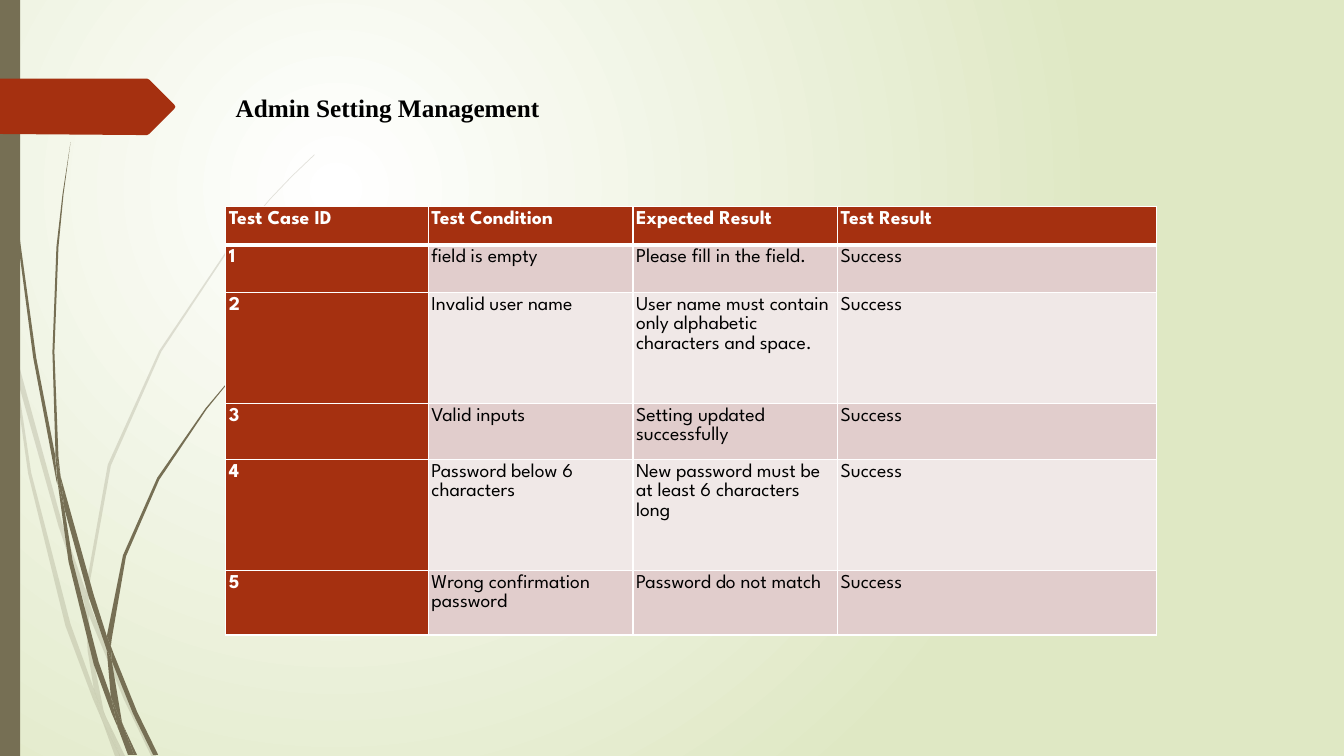
from lxml.etree import SubElement
from pptx import Presentation
from pptx.dml.color import RGBColor
from pptx.enum.shapes import MSO_SHAPE
from pptx.enum.text import MSO_AUTO_SIZE
from pptx.oxml.ns import qn
from pptx.util import Pt

COLORS = {
    "white": "FFFFFF", "black": "000000", "rust": "A53010", "olive": "766F54",
    "pale_green": "DFE8C4", "band_dark": "E1CDCC", "band_light": "F0E8E7",
}
HUNDREDTH_INCH = Pt(0.72)

FADED_GRASS = [
    "11 350, 9 322, 0 282, 0 299, 10 344",
    "58 522, 84 599, 85 586, 62 520, 14 345, 17 376",
    "92 607, 88 596, 88 610, 123 694, 150 750, 155 750, 127 692",
    "119 750, 124 750, 105 711",
    "93 683, 70 619, 31 469, 17 376, 11 350, 28 470, 65 621, 92 693, 101 714, 99 707",
    "84 599, 87 646, 93 683, 96 692, 105 711, 103 706, 91 646, 88 610, 88 608",
    "88 584, 110 462, 160 349, 229 245, 268 198, 290 175, 312 154, 312 153, 289 175, "
    "268 197, 228 244, 158 348, 107 461, 85 584, 85 586, 88 596",
    "101 714, 114 750, 119 750",
    "88 608, 88 610, 88 596, 85 586, 84 599",
    "96 692, 93 683, 99 707, 101 714, 119 750, 105 711",
]
DARK_GRASS = [
    "7 110, 17 233, 33 355, 56 477, 57 481, 55 457, 55 453, 36 355, 19 232, 8 109, "
    "5 48, 4 0, 3 0, 4 48",
    "88 592, 106 645, 106 633, 106 631, 93 590, 60 472, 64 505",
    "113 649, 110 641, 111 656, 132 708, 152 749, 157 749, 136 706",
    "110 691, 98 657, 72 556, 64 505, 57 477, 68 557, 93 659, 111 708, 117 722, 116 717",
    "60 472, 58 453, 54 349, 58 245, 63 193, 70 141, 62 193, 56 245, 52 349, 55 449",
    "133 749, 136 749, 122 719",
    "57 477, 64 505, 60 472, 55 449, 55 453",
    "111 633, 125 552, 158 476, 205 406, 231 374, 245 359, 261 344, 260 344, 245 358, "
    "231 373, 204 405, 156 474, 122 551, 106 631, 110 641",
    "117 722, 127 749, 131 749",
    "106 645, 110 691, 116 706, 122 719, 121 716, 111 656, 109 651",
    "106 645, 109 651, 111 656, 110 641, 106 631, 106 633",
    "116 706, 110 691, 116 717, 117 722, 130 749, 133 749, 122 719",
]
PENNANT = "173 108, 148 133, 146 134, 136 134, 0 133, 0 78, 146 78, 148 79, 173 104, 174 106"

TEST_CASES = [
    ["Test Case ID", "Test Condition", "Expected Result", "Test Result"],
    ["1", "field is empty", "Please fill in the field.", "Success"],
    ["2", "Invalid user name",
     "User name must contain only alphabetic characters and space.", "Success"],
    ["3", "Valid inputs", "Setting updated successfully", "Success"],
    ["4", "Password below 6 characters",
     "New password must be at least 6 characters long", "Success"],
    ["5", "Wrong confirmation password", "Password do not match", "Success"],
]
COLUMN_WIDTHS = [144.72, 146.16, 146.16, 227.52]
ROW_HEIGHTS = [27.36, 33.84, 79.2, 40.32, 79.2, 46.08]


def rgb(name):
    """Return the named colour."""
    return RGBColor.from_string(COLORS[name])


def paint_background(slide):
    """Fill the slide with a radial gradient from white to pale green."""
    fill = slide.background.fill
    fill.gradient()
    for stop, name, position in zip(fill.gradient_stops, ("white", "pale_green"), (0, 1)):
        stop.color.rgb = rgb(name)
        stop.position = position
    gradient = slide.element.find(".//" + qn("a:gradFill"))
    gradient.remove(gradient.find(qn("a:lin")))
    circle = SubElement(gradient, qn("a:path"), path="circle")
    SubElement(circle, qn("a:fillToRect"), l="50000", t="50000", r="100000", b="100000")


def style_shape(shape, color, opacity=100):
    """Give a shape a plain fill without line or shadow."""
    shape.shadow.inherit = False
    shape.fill.solid()
    shape.fill.fore_color.rgb = rgb(color)
    shape.line.fill.background()
    if opacity < 100:
        color_element = shape.element.spPr.find(".//" + qn("a:srgbClr"))
        SubElement(color_element, qn("a:alpha"), val=str(opacity * 1000))


def add_outline(shapes, outline, color, opacity=100):
    """Draw a closed outline given in hundredths of an inch."""
    points = [tuple(map(int, pair.split())) for pair in outline.split(",")]
    builder = shapes.build_freeform(*points[0], scale=HUNDREDTH_INCH)
    builder.add_line_segments(points[1:], close=True)
    style_shape(builder.convert_to_shape(), color, opacity)


def add_grass(slide, blades, opacity):
    """Draw one group of grass blades."""
    group = slide.shapes.add_group_shape()
    for blade in blades:
        add_outline(group.shapes, blade, "olive", opacity)


def write_text(text_frame, text, font, size, color, bold=False, spacing=None, after=None):
    """Write one formatted paragraph and return it."""
    text_frame.word_wrap = True
    paragraph = text_frame.paragraphs[0]
    paragraph.line_spacing = spacing
    if after is not None:
        paragraph.space_after = Pt(after)
    run = paragraph.add_run()
    run.text = text
    run.font.name = font
    run.font.size = Pt(size)
    run.font.bold = bold
    run.font.color.rgb = rgb(color)
    return paragraph


def add_title(slide, text):
    """Add the slide heading."""
    box = slide.shapes.add_textbox(Pt(161.28), Pt(62.64), Pt(480.24), Pt(28.8))
    write_text(box.text_frame, text, font="Times New Roman", size=18, color="black", bold=True)
    box.text_frame.auto_size = MSO_AUTO_SIZE.SHAPE_TO_FIT_TEXT


def set_borders(cell, top, bottom):
    """Draw white borders around a cell."""
    properties = cell._tc.get_or_add_tcPr()
    for side, width in (("L", 1), ("R", 1), ("T", top), ("B", bottom)):
        line = SubElement(properties, qn("a:ln" + side), w=str(Pt(width)))
        fill = SubElement(line, qn("a:solidFill"))
        SubElement(fill, qn("a:srgbClr"), val=COLORS["white"])


def format_cell(cell, text, row, column):
    """Fill one table cell according to its place."""
    heading = row == 0 or column == 0
    band = "band_dark" if row % 2 else "band_light"
    cell.margin_left = cell.margin_top = Pt(2.16)
    cell.margin_right, cell.margin_bottom = Pt(3.6), Pt(0)
    set_borders(cell, top=3 if row == 1 else 1, bottom=3 if row == 0 else 1)
    cell.fill.solid()
    cell.fill.fore_color.rgb = rgb("rust" if heading else band)
    paragraph = write_text(cell.text_frame, text, font="League Spartan", size=14,
                           color="white" if heading else "black", bold=heading,
                           spacing=1.07, after=15.7)
    properties = paragraph._p.get_or_add_pPr()
    properties.set("marL", str(Pt(0 if column else 0.72)))
    properties.set("indent", str(Pt(-0.72)))


def add_test_table(slide):
    """Add the table of test cases."""
    frame = slide.shapes.add_table(len(ROW_HEIGHTS), len(COLUMN_WIDTHS), Pt(161.28), Pt(147.6),
                                   Pt(sum(COLUMN_WIDTHS)), Pt(sum(ROW_HEIGHTS)))
    table = frame.table
    for column, width in zip(table.columns, COLUMN_WIDTHS):
        column.width = Pt(width)
    for row, height in zip(table.rows, ROW_HEIGHTS):
        row.height = Pt(height)
    for row, texts in enumerate(TEST_CASES):
        for column, text in enumerate(texts):
            format_cell(table.cell(row, column), text, row, column)


def main():
    """Build and save the slide."""
    presentation = Presentation()
    presentation.slide_width, presentation.slide_height = Pt(960), Pt(540)
    slide = presentation.slides.add_slide(presentation.slide_layouts[6])
    paint_background(slide)
    add_grass(slide, FADED_GRASS, opacity=20)
    add_grass(slide, DARK_GRASS, opacity=100)
    side_bar = slide.shapes.add_shape(MSO_SHAPE.RECTANGLE, 0, 0, Pt(14.4), Pt(540))
    style_shape(side_bar, "olive")
    add_outline(slide.shapes, PENNANT, "rust")
    add_test_table(slide)
    add_title(slide, "Admin Setting Management")
    presentation.save("out.pptx")


if __name__ == "__main__":
    main()
